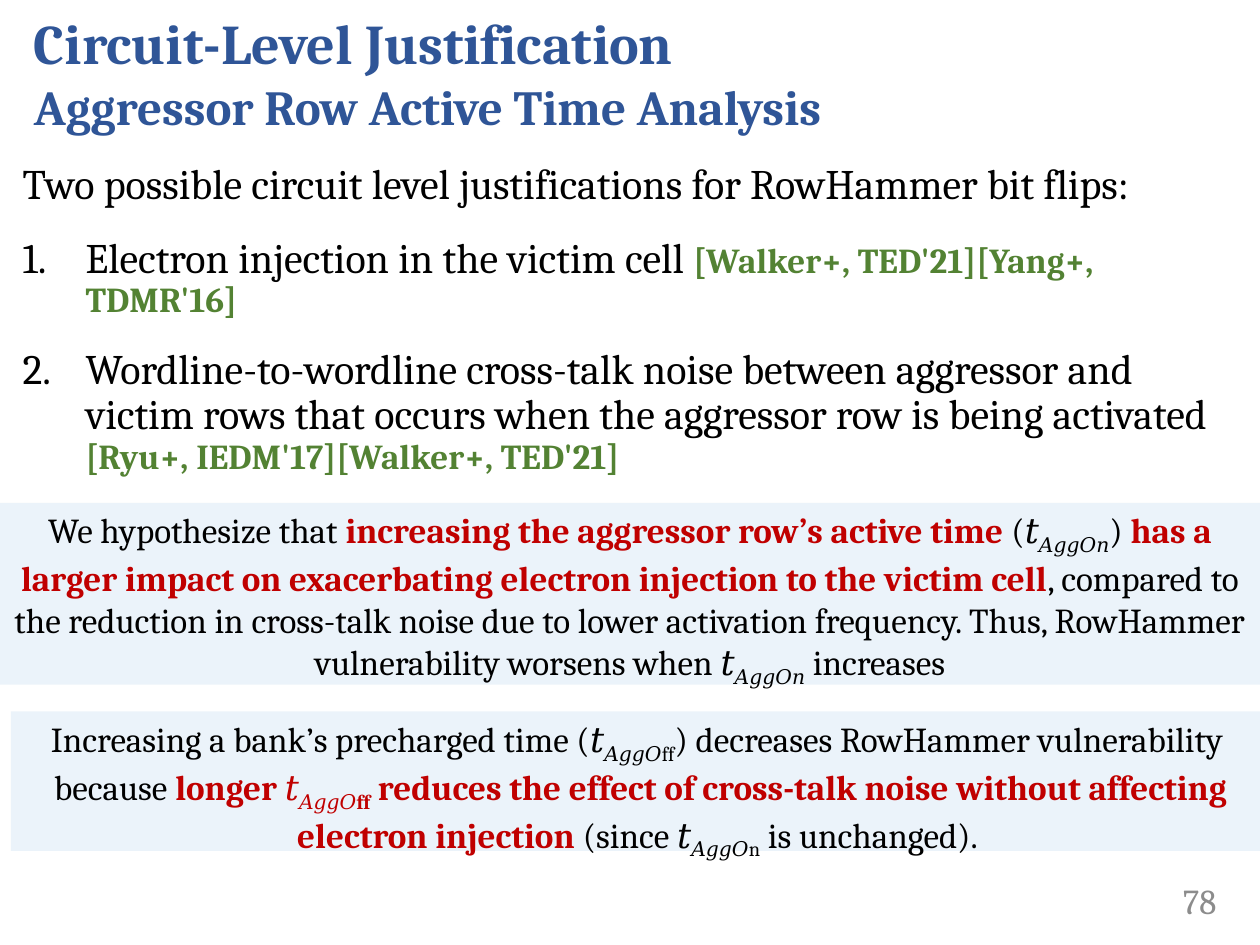
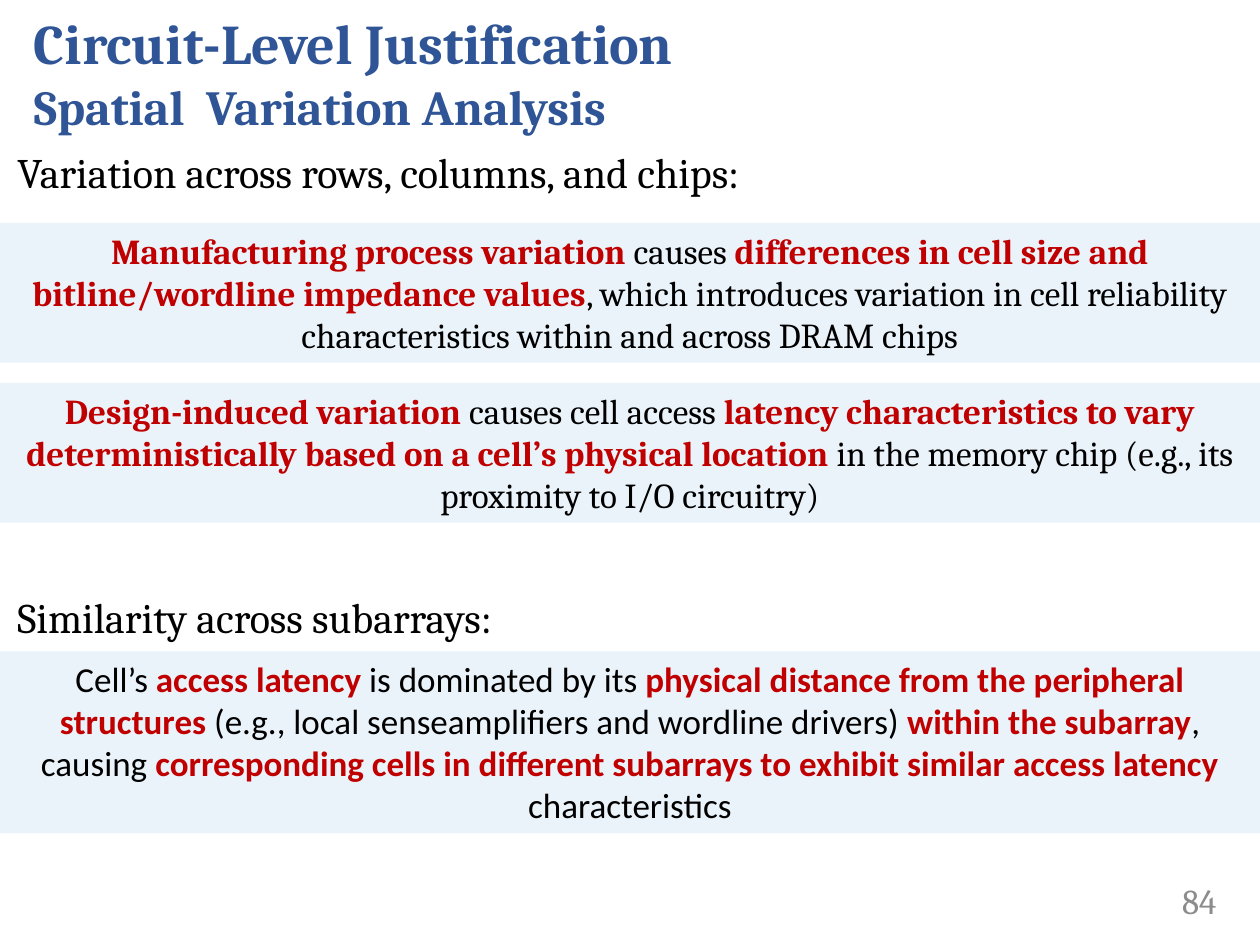
from dataclasses import dataclass

from lxml.etree import SubElement
from pptx import Presentation
from pptx.dml.color import RGBColor as Rgb
from pptx.enum.shapes import MSO_SHAPE as Shape
from pptx.enum.text import MSO_ANCHOR as Anchor, MSO_AUTO_SIZE as Fit, PP_ALIGN as Align
from pptx.oxml.ns import qn
from pptx.util import Pt


@dataclass(frozen=True)
class Theme:
    face: str = "Cambria"
    sans: str = "Calibri"
    ink: Rgb = Rgb(0, 0, 0)
    head: Rgb = Rgb(0x2F, 0x55, 0x97)
    key: Rgb = Rgb(0xC0, 0, 0)
    cite: Rgb = Rgb(0x53, 0x82, 0x33)
    band: Rgb = Rgb(0xDE, 0xEB, 0xF7)
    grey: Rgb = Rgb(0x8C, 0x8C, 0x8C)
    alpha: int = 58
    title: int = 32
    sub: int = 28
    body: int = 24
    note: int = 20


T = Theme()
WIDE, HIGH = 720, 540
TEXT_W = 708
LINE, PAD = 24.2, 7.2  # callout line height and total inset


def style(run, size, color, bold=False, face=T.face):
    font = run.font
    font.name, font.size, font.bold = face, Pt(size), bold
    font.color.rgb = color


def write(para, text, size, accent, face=T.face):
    """Stars enclose bold accent text, tildes enclose subscripts."""
    for i, part in enumerate(text.split("*")):
        strong = i % 2 == 1
        for j, bit in enumerate(part.split("~")):
            if not bit:
                continue
            run = para.add_run()
            run.text = bit
            style(run, T.note if strong else size, accent if strong else T.ink, strong, face)
            if j % 2:
                run._r.get_or_add_rPr().set("baseline", "-25000")


def number(para):
    props = para._p.get_or_add_pPr()
    props.set("marL", str(Pt(36)))
    props.set("indent", str(-Pt(36)))
    SubElement(props, qn("a:buFont"), typeface="+mj-lt")
    SubElement(props, qn("a:buAutoNum"), type="arabicPeriod")


def add_box(slide, x, y, w, h):
    frame = slide.shapes.add_textbox(Pt(x), Pt(y), Pt(w), Pt(h)).text_frame
    frame.word_wrap = True
    return frame


def add_body(slide, x, y, h, lead, steps=()):
    """A lead line, followed by numbered steps."""
    frame = add_box(slide, x, y, TEXT_W, h)
    for i, text in enumerate((lead, *steps)):
        para = frame.add_paragraph() if i else frame.paragraphs[0]
        para.line_spacing = 0.9
        para.space_after = Pt(6)
        if i:
            para.space_before = Pt(10)
            number(para)
        write(para, text, T.body, T.cite)


def add_note(slide, y, lines, text, x=0, face=T.face):
    """A pale full-width band sized for its count of lines."""
    band = slide.shapes.add_shape(Shape.RECTANGLE, Pt(x), Pt(y), Pt(WIDE), Pt(lines * LINE + PAD))
    band.shadow.inherit = False
    band.line.fill.background()
    band.fill.solid()
    band.fill.fore_color.rgb = T.band
    tint = band._element.spPr.find(qn("a:solidFill"))[0]
    SubElement(tint, qn("a:alpha"), val=str(T.alpha * 1000))
    frame = band.text_frame
    frame.word_wrap = True
    frame.vertical_anchor = Anchor.TOP
    para = frame.paragraphs[0]
    para.alignment = Align.CENTER
    write(para, text, T.note, T.key, face)


def add_page(deck, topic, num):
    """A slide with its two-line title and page number."""
    slide = deck.slides.add_slide(deck.slide_layouts[5])
    title = slide.shapes.title
    title.left, title.top, title.width, title.height = Pt(12.2), Pt(10.8), Pt(TEXT_W), Pt(60.5)
    frame = title.text_frame
    frame.text = f"Circuit-Level Justification \v{topic}"
    frame.auto_size = Fit.NONE
    frame.vertical_anchor = Anchor.MIDDLE
    para = frame.paragraphs[0]
    para.alignment = Align.LEFT
    para.space_after = Pt(6)
    for run, size in zip(para.runs, (T.title, T.sub)):
        style(run, size, T.head, True)
    SubElement(para._p.find(qn("a:br")), qn("a:rPr"), sz=str(T.title * 100))

    foot = add_box(slide, 624.2, 500.4, 78, 28.8)
    foot.vertical_anchor = Anchor.MIDDLE
    foot.text = num
    foot.paragraphs[0].alignment = Align.RIGHT
    style(foot.paragraphs[0].runs[0], T.note, T.grey)
    return slide


def add_active(deck):
    slide = add_page(deck, "Aggressor Row Active Time Analysis", "78")
    add_body(slide, 5.8, 90, 196.6,
             "Two possible circuit level justifications for RowHammer bit flips:",
             ("Electron injection in the victim cell *[Walker+, TED'21][Yang+, TDMR'16]*",
              "Wordline-to-wordline cross-talk noise between aggressor and victim rows that "
              "occurs when the aggressor row is being activated *[Ryu+, IEDM'17][Walker+, TED'21]*"))
    add_note(slide, 287.3, 4,
             "We hypothesize that *increasing the aggressor row’s active time* (𝑡~𝐴𝑔𝑔𝑂𝑛~) "
             "*has a larger impact on exacerbating electron injection to the victim cell*, "
             "compared to the reduction in cross-talk noise due to lower activation frequency. "
             "Thus, RowHammer vulnerability worsens when 𝑡~𝐴𝑔𝑔𝑂𝑛~ increases")
    add_note(slide, 406.5, 3,
             "Increasing a bank’s precharged time (𝑡~𝐴𝑔𝑔𝑂ff~) decreases RowHammer "
             "vulnerability  because *longer 𝑡~𝐴𝑔𝑔𝑂ff~ reduces the effect of cross-talk noise "
             "without affecting electron injection* (since 𝑡~𝐴𝑔𝑔𝑂n~ is unchanged). ", x=6.3)


def add_spatial(deck):
    slide = add_page(deck, "Spatial  Variation Analysis", "84")
    add_body(slide, 2.9, 83.5, 31, "Variation across rows, columns, and chips:")
    notes = (
        "*Manufacturing process variation* causes *differences in cell size and "
        "bitline/wordline impedance values*, which introduces variation in cell reliability "
        "characteristics within and across DRAM chips",
        "*Design-induced variation* causes cell access *latency characteristics to vary "
        "deterministically based on a cell’s physical location* in the memory chip "
        "(e.g., its proximity to I/O circuitry)")
    for i, text in enumerate(notes):
        add_note(slide, 127.4 + i * 91.4, 3, text)
    add_body(slide, 2.9, 337.7, 31, "Similarity across subarrays:")
    add_note(slide, 372.2, 4,
             "Cell’s *access latency* is dominated by its *physical distance from the peripheral "
             "structures* (e.g., local senseamplifiers and wordline drivers) *within the "
             "subarray*, causing *corresponding cells in different subarrays to exhibit similar "
             "access latency* characteristics", face=T.sans)


def main():
    deck = Presentation()
    deck.slide_width, deck.slide_height = Pt(WIDE), Pt(HIGH)
    add_active(deck)
    add_spatial(deck)
    deck.save("out.pptx")


if __name__ == "__main__":
    main()
